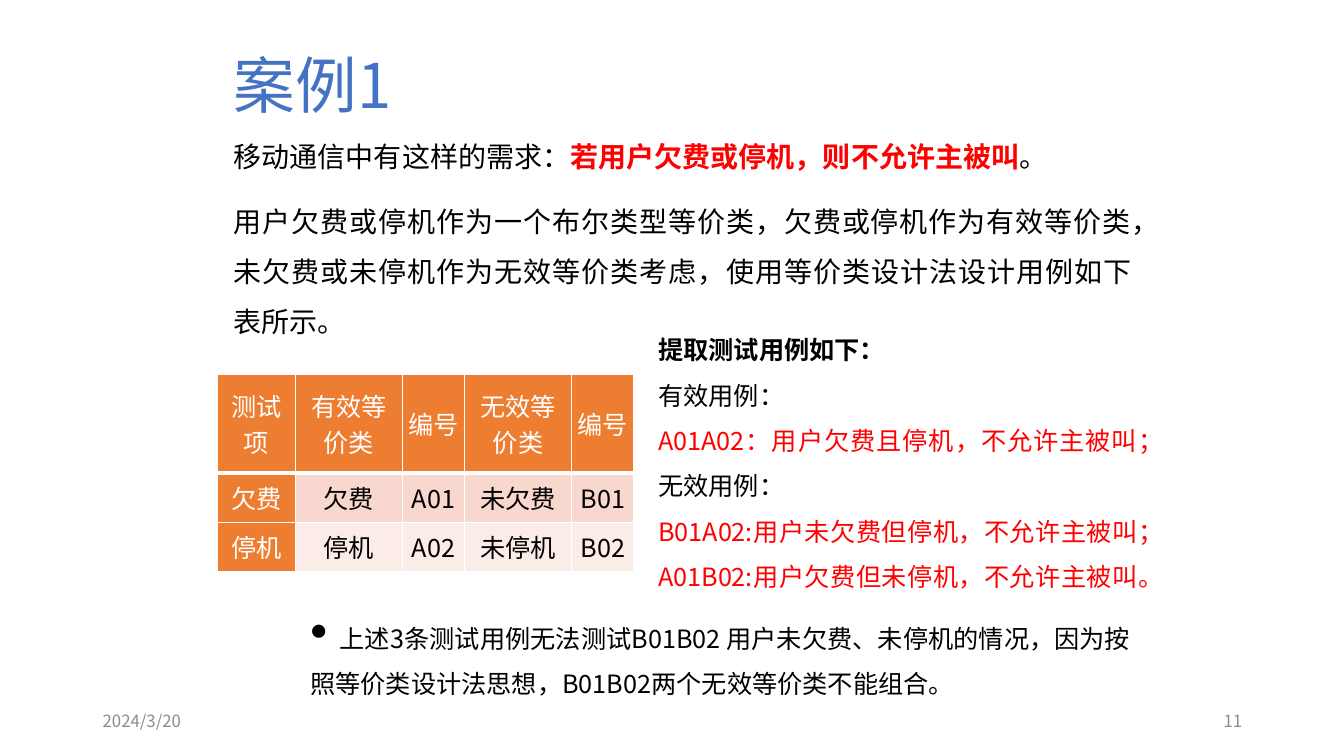
from lxml.etree import SubElement
from pptx import Presentation
from pptx.dml.color import RGBColor
from pptx.enum.text import MSO_ANCHOR, MSO_AUTO_SIZE, PP_ALIGN
from pptx.oxml import parse_xml
from pptx.oxml.ns import nsdecls, qn
from pptx.util import Inches, Pt

COLORS = {
    "title": "4472C4", "text": "000000", "accent": "FF0000", "header": "ED7D31",
    "white": "FFFFFF", "band": "F8D7CE", "light": "FCECE8", "footer": "8C8C8C",
}
FONT = "Noto Sans CJK SC"
JUSTIFIED = {"alignment": PP_ALIGN.JUSTIFY, "line_spacing": 1.5}


def apply_format(target, values):
    for name, value in values.items():
        setattr(target, name, value)


def add_span(para, text, size, color="text", bold=False):
    span = para.add_run()
    span.text = text
    apply_format(span.font, {"name": FONT, "size": Pt(size), "bold": bold})
    span.font.color.rgb = RGBColor.from_string(COLORS[color])
    SubElement(span.font._element, qn("a:ea"), typeface=FONT)


def add_text(page, box, paragraphs, size, para_format, frame_format=None, gap=0):
    frame = page.shapes.add_textbox(*map(Inches, box)).text_frame
    apply_format(frame, {"word_wrap": True, **(frame_format or {})})
    for index, spans in enumerate(paragraphs):
        para = frame.add_paragraph() if index else frame.paragraphs[0]
        apply_format(para, para_format)
        if index and gap:
            para.space_before = Pt(gap)
        for span in spans:
            add_span(para, span[0], size, *span[1:])
    return frame


def add_title(page, box):
    add_text(page, box, [[("案例1", "title")]], 44, {"line_spacing": 0.9},
             {"vertical_anchor": MSO_ANCHOR.MIDDLE})


def add_requirement(page, box):
    paragraphs = [
        [("移动通信中有这样的需求：",),
         ("若用户欠费或停机，则不允许主被叫", "accent", True), ("。",)],
        [("用户欠费或停机作为一个布尔类型等价类，欠费或停机作为有效等价类，"
          "未欠费或未停机作为无效等价类考虑，使用等价类设计法设计用例如下表所示。",)],
    ]
    add_text(page, box, paragraphs, 20, JUSTIFIED, gap=10)


def format_cell(cell, text, fill, color, bottom_width):
    apply_format(cell, {
        "vertical_anchor": MSO_ANCHOR.MIDDLE,
        "margin_left": Inches(0.06), "margin_right": Inches(0.06),
        "margin_top": 0, "margin_bottom": 0,
    })
    para = cell.text_frame.paragraphs[0]
    apply_format(para, {"alignment": PP_ALIGN.CENTER,
                        "space_before": Pt(3), "space_after": Pt(3)})
    add_span(para, text, 18, color)
    properties = cell._tc.get_or_add_tcPr()
    widths = {"lnL": 1, "lnR": 1, "lnT": 1, "lnB": bottom_width}
    for side, width in widths.items():
        properties.append(parse_xml(
            f'<a:{side} {nsdecls("a")} w="{Pt(width)}"><a:solidFill>'
            f'<a:srgbClr val="{COLORS["white"]}"/></a:solidFill></a:{side}>'))
    cell.fill.solid()
    cell.fill.fore_color.rgb = RGBColor.from_string(COLORS[fill])


def add_class_table(page, box):
    rows = [
        ["测试项", "有效等价类", "编号", "无效等价类", "编号"],
        ["欠费", "欠费", "A01", "未欠费", "B01"],
        ["停机", "停机", "A02", "未停机", "B02"],
    ]
    table = page.shapes.add_table(len(rows), len(rows[0]), *map(Inches, box)).table
    for column, width in zip(table.columns, [0.77, 1.06, 0.62, 1.06, 0.62]):
        column.width = Inches(width)
    for row, height in zip(table.rows, [0.98, 0.49, 0.49]):
        row.height = Inches(height)
    for r, (texts, band) in enumerate(zip(rows, ["header", "band", "light"])):
        for c, text in enumerate(texts):
            is_header = r == 0 or c == 0
            format_cell(table.cell(r, c), text,
                        "header" if is_header else band,
                        "white" if is_header else "text", 1 if r else 3)


def add_test_cases(page, box):
    paragraphs = [
        [("提取测试用例如下：", "text", True)],
        [("有效用例：",)],
        [("A01A02：用户欠费且停机，不允许主被叫；", "accent")],
        [("无效用例：",)],
        [("B01A02:用户未欠费但停机，不允许主被叫；", "accent")],
        [("A01B02:用户欠费但未停机，不允许主被叫。", "accent")],
    ]
    add_text(page, box, paragraphs, 18, JUSTIFIED,
             {"auto_size": MSO_AUTO_SIZE.SHAPE_TO_FIT_TEXT})


def add_conclusion(page, box):
    text = ("\t上述3条测试用例无法测试B01B02 用户未欠费、未停机的情况，"
            "因为按照等价类设计法思想，B01B02两个无效等价类不能组合。")
    frame = add_text(page, box, [[(text,)]], 18, JUSTIFIED,
                     {"auto_size": MSO_AUTO_SIZE.SHAPE_TO_FIT_TEXT})
    properties = frame.paragraphs[0]._p.get_or_add_pPr()
    apply_bullet = {"a:buSzPct": {"val": "200000"}, "a:buChar": {"char": "•"}}
    for tag, attributes in apply_bullet.items():
        SubElement(properties, qn(tag), attributes)
    tabs = SubElement(properties, qn("a:tabLst"))
    SubElement(tabs, qn("a:tab"), pos=str(Inches(0.29)), algn="l")


def add_footer(page, box):
    left, top, width, height = box
    part = 3
    for text, x, alignment in [("2024/3/20", left, PP_ALIGN.LEFT),
                               ("11", left + width - part, PP_ALIGN.RIGHT)]:
        add_text(page, (x, top, part, height), [[(text, "footer")]], 12,
                 {"alignment": alignment}, {"vertical_anchor": MSO_ANCHOR.MIDDLE})


def main():
    deck = Presentation()
    apply_format(deck, {"slide_width": Inches(13.33), "slide_height": Inches(7.5)})
    page = deck.slides.add_slide(deck.slide_layouts[6])
    add_title(page, (2.22, 0.41, 8.9, 0.93))
    add_requirement(page, (2.22, 1.17, 9.1, 5.03))
    add_class_table(page, (2.16, 3.71, 4.13, 1.96))
    add_test_cases(page, (6.43, 3.12, 4.96, 2.83))
    add_footer(page, (0.92, 6.95, 11.5, 0.4))
    add_conclusion(page, (2.98, 5.98, 8.33, 0.96))
    deck.save("out.pptx")


if __name__ == "__main__":
    main()
